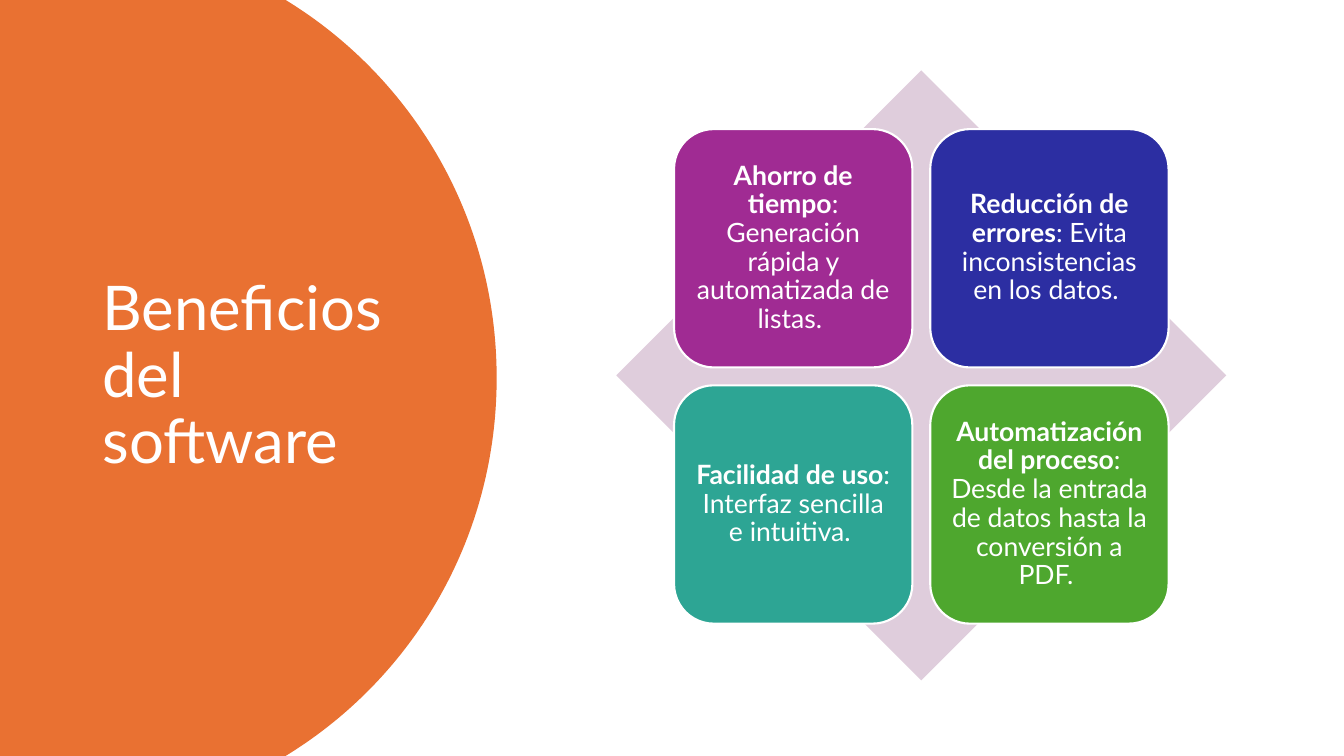
import lxml.etree
import pptx
import pptx.dml.color
import pptx.enum.shapes
import pptx.enum.text
import pptx.oxml.ns
import pptx.util

PX = 9525  # EMU per px, 96 px to the inch
SLIDE_WIDTH, SLIDE_HEIGHT = 1280, 720
FONT = "Lato"
WHITE = "FFFFFF"

BENEFITS = [
    ("Ahorro de tiempo", ": Generación rápida y automatizada de listas. ", "A02B93"),
    ("Reducción de errores", ": Evita inconsistencias en los datos. ", "2C2EA2"),
    ("Facilidad de uso", ": Interfaz sencilla e intuitiva. ", "2DA594"),
    ("Automatización del proceso",
     ": Desde la entrada de datos hasta la conversión a PDF. ", "4EA72E"),
]


def px(length):
    return pptx.util.Emu(length * PX)


def color(value):
    return pptx.dml.color.RGBColor.from_string(value)


def paint(shape, fill, line=None):
    shape.shadow.inherit = False
    shape.fill.solid()
    shape.fill.fore_color.rgb = color(fill)
    if line:
        shape.line.color.rgb = color(line)
        shape.line.width = pptx.util.Pt(1.5)
    else:
        shape.line.fill.background()


def add_run(paragraph, text, size, bold=False):
    run = paragraph.add_run()
    run.text = text
    run.font.name = FONT
    run.font.size = pptx.util.Pt(size)
    run.font.bold = bold
    run.font.color.rgb = color(WHITE)


def prepare_text(shape, alignment):
    frame = shape.text_frame
    frame.word_wrap = True
    frame.auto_size = pptx.enum.text.MSO_AUTO_SIZE.NONE
    frame.vertical_anchor = pptx.enum.text.MSO_ANCHOR.MIDDLE
    paragraph = frame.paragraphs[0]
    paragraph.alignment = alignment
    paragraph.line_spacing = 0.9
    return paragraph


def bend(segments):
    """Turn three line segments into one Bézier curve."""
    curve = lxml.etree.Element(pptx.oxml.ns.qn("a:cubicBezTo"))
    segments[0].addprevious(curve)
    for segment in segments:
        curve.append(segment[0])
        segment.getparent().remove(segment)


def add_side_circle(slide):
    """Circle cut off by the left, top and bottom edges of the slide."""
    upper = [(272, 0), (393, 74), (473, 207)]
    lower = [(x, SLIDE_HEIGHT - y) for x, y in reversed(upper)]
    outline = upper + [(473, SLIDE_HEIGHT // 2)] + lower + [(0, SLIDE_HEIGHT)]
    builder = slide.shapes.build_freeform(0, 0, scale=PX)
    builder.add_line_segments(outline, close=True)
    circle = builder.convert_to_shape()
    paint(circle, "E97132")
    lines = list(circle._element.iter(pptx.oxml.ns.qn("a:lnTo")))
    bend(lines[1:4])
    bend(lines[4:7])


def set_title(slide, text, left, top, width, height):
    title = slide.shapes.title
    title.left, title.top = px(left), px(top)
    title.width, title.height = px(width), px(height)
    paragraph = prepare_text(title, pptx.enum.text.PP_ALIGN.LEFT)
    add_run(paragraph, text, 44)
    # Bring the title in front of the circle
    slide.shapes._spTree.append(title._element)


def add_diamond(slide, left, top, side):
    diamond = slide.shapes.add_shape(
        pptx.enum.shapes.MSO_SHAPE.DIAMOND, px(left), px(top), px(side), px(side))
    paint(diamond, "DFCDDC")


def add_card(slide, left, top, side, heading, detail, fill):
    card = slide.shapes.add_shape(
        pptx.enum.shapes.MSO_SHAPE.ROUNDED_RECTANGLE,
        px(left), px(top), px(side), px(side))
    paint(card, fill, WHITE)
    frame = card.text_frame
    frame.margin_left = frame.margin_right = px(8)
    frame.margin_top = frame.margin_bottom = px(8)
    paragraph = prepare_text(card, pptx.enum.text.PP_ALIGN.CENTER)
    add_run(paragraph, heading, 19, bold=True)
    add_run(paragraph, detail, 19)


def main():
    presentation = pptx.Presentation()
    presentation.slide_width = px(SLIDE_WIDTH)
    presentation.slide_height = px(SLIDE_HEIGHT)
    slide = presentation.slides.add_slide(presentation.slide_layouts[5])

    # Title panel
    add_side_circle(slide)
    set_title(slide, "Beneficios del software", 88, 67, 310, 585)

    # Two by two matrix of benefits on a diamond
    add_diamond(slide, 587, 67, 581)
    side, pitch = 227, 244
    for index, (heading, detail, fill) in enumerate(BENEFITS):
        row, column = divmod(index, 2)
        add_card(slide, 642 + column * pitch, 123 + row * pitch, side,
                 heading, detail, fill)

    presentation.save("out.pptx")


if __name__ == "__main__":
    main()
